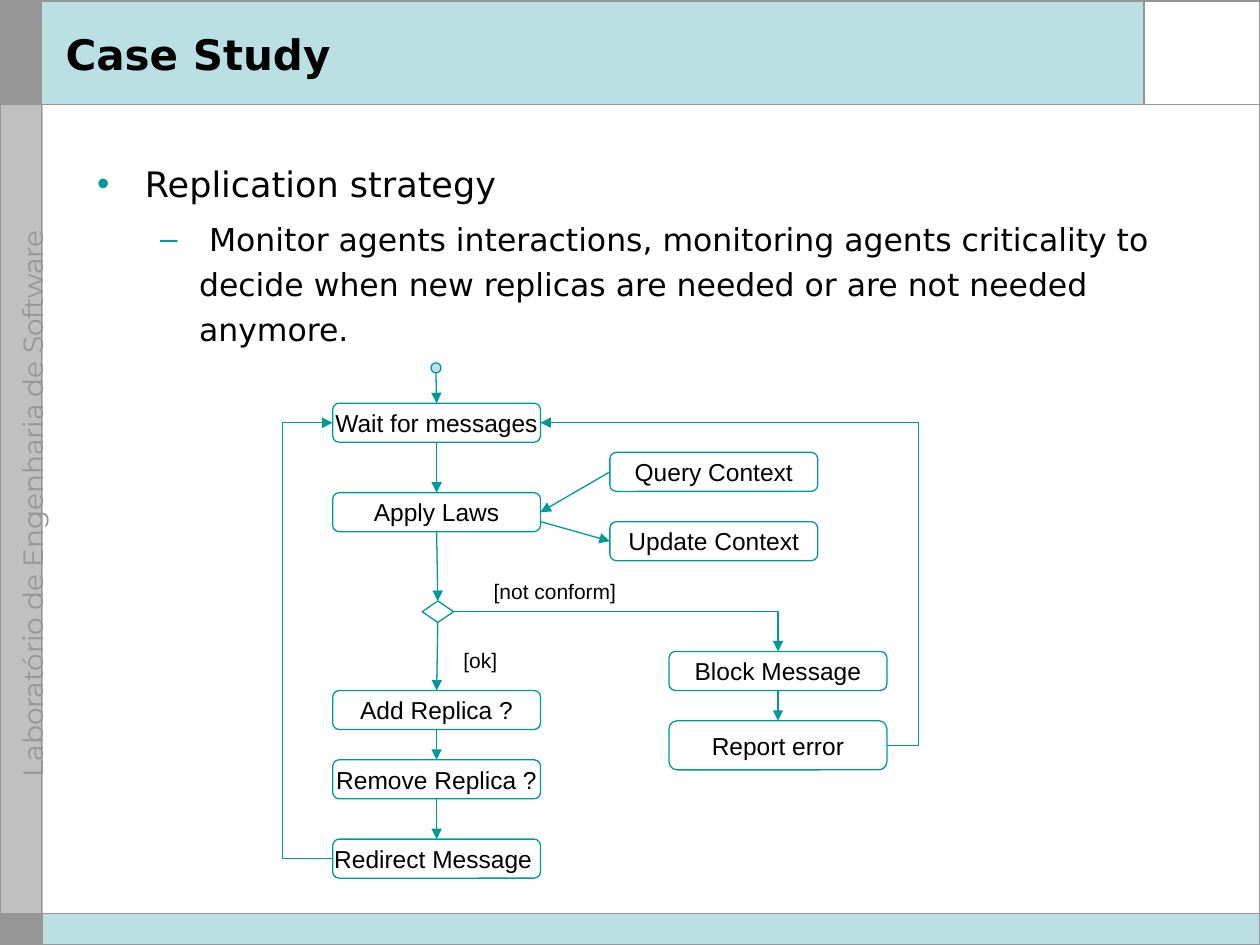
import pptx
import pptx.dml.color
import pptx.enum.shapes
import pptx.enum.text
import pptx.oxml.xmlchemy
import pptx.util

COLORS = {"teal": "009999", "pale": "BBE0E3", "gray": "969696",
          "silver": "C0C0C0", "white": "FFFFFF", "black": "000000"}
RGB = {name: pptx.dml.color.RGBColor.from_string(code)
       for name, code in COLORS.items()}
Inches, Pt = pptx.util.Inches, pptx.util.Pt
KIND = pptx.enum.shapes.MSO_SHAPE
ROUTE = pptx.enum.shapes.MSO_CONNECTOR
ALIGN = pptx.enum.text.PP_ALIGN
MIDDLE = pptx.enum.text.MSO_ANCHOR.MIDDLE
make = pptx.oxml.xmlchemy.OxmlElement

deck = pptx.Presentation()
deck.slide_width, deck.slide_height = Inches(10), Inches(7.5)
slide = deck.slides.add_slide(deck.slide_layouts[1])
shapes = slide.shapes


def draw(kind, place, fill=None, line=None, weight=0.75):
    shape = shapes.add_shape(kind, *[Inches(v) for v in place])
    shape.shadow.inherit = False
    if fill:
        shape.fill.solid()
        shape.fill.fore_color.rgb = RGB[fill]
    else:
        shape.fill.background()
    if line:
        shape.line.color.rgb = RGB[line]
        shape.line.width = Pt(weight)
    else:
        shape.line.fill.background()
    return shape


def link(kind, ends, color, weight):
    line = shapes.add_connector(kind, *[Inches(v) for v in ends])
    line.line.color.rgb = RGB[color]
    line.line.width = Pt(weight)
    line._element.spPr.append(make("a:effectLst"))
    return line


# Frame: bars, side strip and rules
for place, fill, edge in [
        ((0.01, 0.01, 0.33, 0.83), "gray", "gray"),
        ((0.33, 0, 9.67, 0.83), "pale", None),
        ((0.01, 0.83, 0.33, 6.42), "silver", "silver"),
        ((9.08, 0, 0.92, 0.83), "white", None),
        ((0.33, 7.25, 9.67, 0.25), "pale", None),
        ((0.01, 7.25, 0.33, 0.24), "gray", "gray")]:
    draw(KIND.RECTANGLE, place, fill, edge)

side = shapes.add_textbox(Inches(-2.19), Inches(3.91), Inches(4.7), Inches(0.18))
side.rotation = 270
side.text_frame.word_wrap = False
side.text_frame.text = "Laboratório de Engenharia de Software"
para = side.text_frame.paragraphs[0]
para.alignment = ALIGN.CENTER
font = para.runs[0].font
font.name, font.size, font.color.rgb = "Montserrat", Pt(16), RGB["gray"]

for ends in [(9.08, 0, 9.08, 0.83), (0, 0.83, 10, 0.83),
             (0.33, 0, 0.33, 7.5), (0, 7.25, 10, 7.25)]:
    link(ROUTE.STRAIGHT, ends, "gray", 1)
draw(KIND.RECTANGLE, (0, 0.01, 10, 7.49), None, "gray", 1)

# Title and list, brought in front of the frame
title, body = shapes.title, slide.placeholders[1]
for holder, place in [(title, (0.42, 0.12, 8.58, 0.62)),
                      (body, (0.67, 1.17, 9.08, 5.84))]:
    shapes._spTree.append(holder._element)
    holder.left, holder.top, holder.width, holder.height = map(Inches, place)
    holder.text_frame.auto_size = pptx.enum.text.MSO_AUTO_SIZE.NONE

title.text_frame.text = "Case Study"
title.text_frame.vertical_anchor = MIDDLE
para = title.text_frame.paragraphs[0]
para.alignment = ALIGN.LEFT
font = para.runs[0].font
font.name, font.size, font.bold = "DejaVu Sans", Pt(24), True
font.color.rgb = RGB["black"]

items = [("Replication strategy", "•", 0.38, -0.38, 20, 0),
         (" Monitor agents interactions, monitoring agents criticality to "
          "decide when new replicas are needed or are not needed anymore.",
          "–", 0.81, -0.31, 18, 4.5)]
frame = body.text_frame
for level, (text, mark, margin, indent, size, gap) in enumerate(items):
    para = frame.add_paragraph() if level else frame.paragraphs[0]
    para.text, para.level = text, level
    props = para._p.get_or_add_pPr()
    props.set("marL", str(Inches(margin)))
    props.set("indent", str(Inches(indent)))
    tint, hue, dot = make("a:buClr"), make("a:srgbClr"), make("a:buChar")
    hue.set("val", COLORS["teal"])
    tint.append(hue)
    dot.set("char", mark)
    props.extend([tint, dot])
    para.line_spacing, para.space_before = 1.2, Pt(gap)
    font = para.runs[0].font
    font.name, font.size, font.color.rgb = "DejaVu Sans", Pt(size), RGB["black"]

# Flow nodes
nodes = {}
for name, text, x, y, wide, high in [
        ("wait", "Wait for messages", 2.64, 3.2, 1.65, 0.31),
        ("apply", "Apply Laws", 2.64, 3.91, 1.65, 0.31),
        ("add", "Add Replica ?", 2.64, 5.48, 1.65, 0.31),
        ("remove", "Remove Replica ?", 2.64, 6.03, 1.65, 0.31),
        ("send", "Redirect Message ", 2.64, 6.66, 1.65, 0.31),
        ("query", "Query Context", 4.84, 3.59, 1.65, 0.31),
        ("update", "Update Context", 4.84, 4.14, 1.65, 0.31),
        ("block", "Block Message", 5.31, 5.17, 1.73, 0.31),
        ("report", "Report error", 5.31, 5.72, 1.73, 0.39)]:
    node = draw(KIND.ROUNDED_RECTANGLE, (x, y, wide, high), None, "teal")
    frame = node.text_frame
    frame.text, frame.word_wrap = text, False
    frame.vertical_anchor = MIDDLE
    para = frame.paragraphs[0]
    para.alignment = ALIGN.CENTER
    font = para.runs[0].font
    font.name, font.size, font.color.rgb = "Arial", Pt(14), RGB["black"]
    nodes[name] = node
draw(KIND.OVAL, (3.42, 2.88, 0.08, 0.08), "pale", "teal")
nodes["choice"] = draw(KIND.DIAMOND, (3.35, 4.77, 0.25, 0.17), None, "teal")

# Arrows between nodes
arrows = []
for start, out, end, into, kind in [
        ("wait", 2, "apply", 0, ROUTE.STRAIGHT),
        ("apply", 2, "choice", 0, ROUTE.STRAIGHT),
        ("choice", 2, "add", 0, ROUTE.STRAIGHT),
        ("add", 2, "remove", 0, ROUTE.STRAIGHT),
        ("remove", 2, "send", 0, ROUTE.STRAIGHT),
        ("block", 2, "report", 0, ROUTE.STRAIGHT),
        ("query", 1, "apply", 3, ROUTE.STRAIGHT),
        ("choice", 3, "block", 0, ROUTE.ELBOW),
        ("report", 3, "wait", 3, ROUTE.ELBOW)]:
    line = link(kind, (0, 0, 1, 1), "teal", 0.75)
    line.begin_connect(nodes[start], out)
    line.end_connect(nodes[end], into)
    arrows.append(line)
    if kind == ROUTE.ELBOW:
        shape = line._element.spPr.prstGeom
        if start == "choice":
            shape.set("prst", "bentConnector2")
        else:  # turn just right of the error branch
            guide = make("a:gd")
            guide.set("name", "adj1")
            guide.set("fmla", "val -9000")
            shape.get_or_add_avLst().append(guide)

# Arrows with a free start
for ends, end, into in [((3.46, 2.96, 3.46, 3.2), "wait", 0),
                        ((4.29, 4.14, 4.84, 4.3), "update", 1)]:
    line = link(ROUTE.STRAIGHT, ends, "teal", 0.75)
    line.end_connect(nodes[end], into)
    arrows.append(line)

# Return path on the left, outside the boxes
low, high = [nodes[n].top + nodes[n].height // 2 for n in ("send", "wait")]
edge, lane = nodes["wait"].left, Inches(2.24)
pen = shapes.build_freeform(edge, low)
pen.add_line_segments([(lane, low), (lane, high), (edge, high)], close=False)
back = pen.convert_to_shape()
back.shadow.inherit = False
back.fill.background()
back.line.color.rgb, back.line.width = RGB["teal"], Pt(0.75)
arrows.append(back)

for arrow in arrows:
    tip = make("a:tailEnd")
    tip.set("type", "triangle")
    arrow.get_or_add_ln().append(tip)

# Branch labels
for text, x, y, wide in [("[not conform]", 3.82, 4.54, 1.17),
                         ("[ok]", 3.58, 5.09, 0.47)]:
    label = shapes.add_textbox(Inches(x), Inches(y), Inches(wide), Inches(0.3))
    label.text_frame.word_wrap = False
    label.text_frame.text = text
    font = label.text_frame.paragraphs[0].runs[0].font
    font.name, font.size, font.color.rgb = "Arial", Pt(12), RGB["black"]

deck.save("out.pptx")
